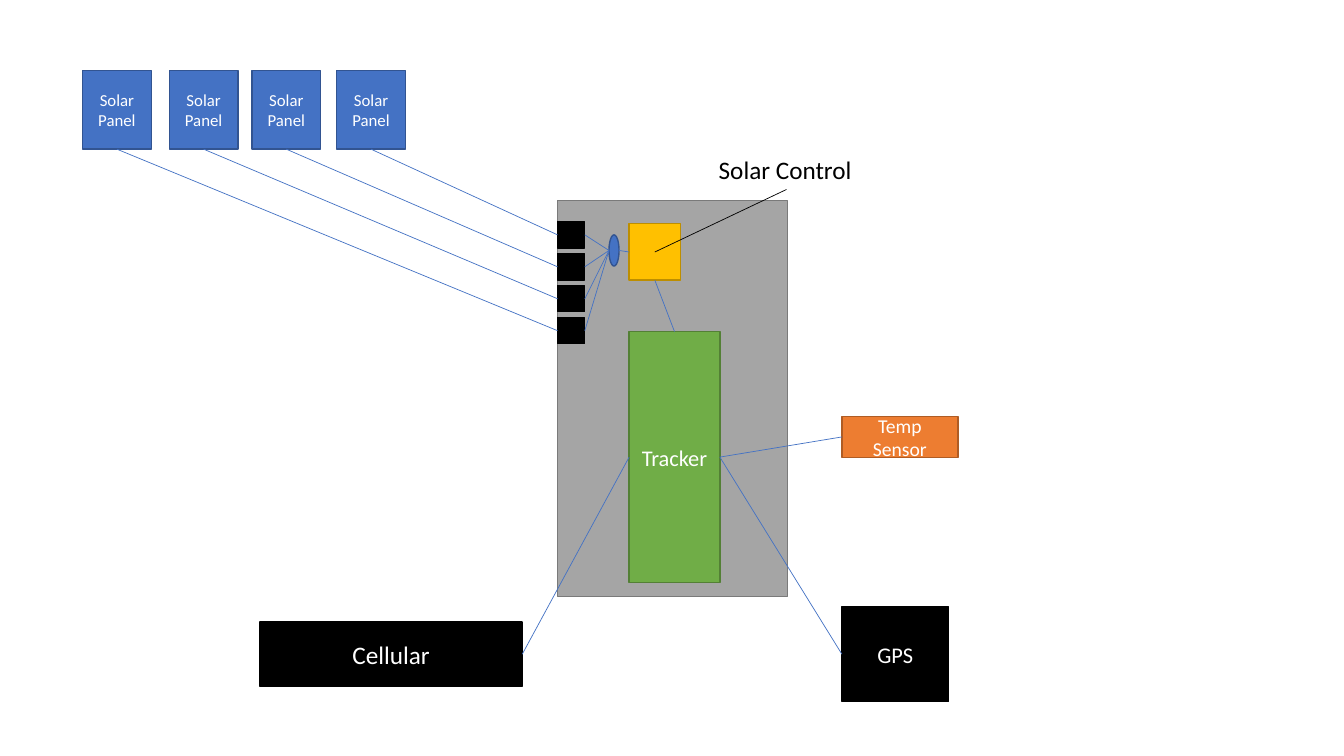
"""Build a wiring diagram of a solar-powered tracker."""
from dataclasses import dataclass

from lxml import etree
from pptx import Presentation
from pptx import util as u
from pptx.dml.color import RGBColor
from pptx.enum import shapes, text
from pptx.oxml.ns import qn

FONT = "Calibri"
BLUE, BLACK, WHITE = "4472C4", "000000", "FFFFFF"
Point = tuple[float, float]


@dataclass(frozen=True)
class Block:
    """A filled shape of the diagram, in inches."""

    left: float
    top: float
    width: float
    height: float
    fill: str
    edge: str
    label: str = ""
    size: int = 12
    kind: shapes.MSO_SHAPE = shapes.MSO_SHAPE.RECTANGLE

    def at(self, across: float, down: float) -> Point:
        """Return the point at the given fractions of width and height."""
        return self.left + across * self.width, self.top + down * self.height


@dataclass(frozen=True)
class Wire:
    """A straight line between two points."""

    start: Point
    end: Point
    color: str = BLUE


def rgb(color: str) -> RGBColor:
    """Turn a hex string into a colour."""
    return RGBColor.from_string(color)


def add_span(para, words: str, size: int, color: str) -> None:
    """Add one formatted run to a paragraph."""
    span = para.add_run()
    span.text = words
    span.font.name = FONT
    span.font.size = u.Pt(size)
    span.font.color.rgb = rgb(color)


def draw_block(page, block: Block) -> None:
    """Draw a block with its centred label."""
    edges = (block.left, block.top, block.width, block.height)
    box = page.shapes.add_shape(block.kind, *map(u.Inches, edges))
    box.shadow.inherit = False
    box.fill.solid()
    box.fill.fore_color.rgb = rgb(block.fill)
    box.line.color.rgb = rgb(block.edge)
    box.line.width = u.Pt(1)
    if block.label:
        frame = box.text_frame
        frame.word_wrap = True
        frame.vertical_anchor = text.MSO_ANCHOR.MIDDLE
        para = frame.paragraphs[0]
        para.alignment = text.PP_ALIGN.CENTER
        add_span(para, block.label, block.size, WHITE)


def draw_wire(page, wire: Wire) -> None:
    """Draw a thin straight connector without a shadow."""
    ends = map(u.Inches, (*wire.start, *wire.end))
    line = page.shapes.add_connector(shapes.MSO_CONNECTOR.STRAIGHT, *ends)
    line.line.color.rgb = rgb(wire.color)
    line.line.width = u.Pt(0.5)
    etree.SubElement(line._element.spPr, qn("a:effectLst"))


def draw_caption(page, words: str, edges: tuple[float, ...]) -> None:
    """Draw an unwrapped text label."""
    box = page.shapes.add_textbox(*map(u.Inches, edges))
    frame = box.text_frame
    frame.word_wrap = False
    frame.auto_size = text.MSO_AUTO_SIZE.SHAPE_TO_FIT_TEXT
    add_span(frame.paragraphs[0], words, 18, BLACK)


def main() -> None:
    """Lay out the blocks, wire them together and save the deck."""
    deck = Presentation()
    deck.slide_width, deck.slide_height = u.Inches(13.33), u.Inches(7.5)
    page = deck.slides.add_slide(deck.slide_layouts[6])

    case = Block(5.53, 1.99, 2.28, 3.93, "A5A5A5", "7A7A7A")
    panels = [Block(left, 0.7, 0.68, 0.78, BLUE, "325491", "Solar Panel")
              for left in (0.82, 1.68, 2.5, 3.34)]
    ports = [Block(case.left, 2.2 + 0.317 * row, 0.27, 0.26, BLACK, BLACK)
             for row in range(4)]
    control = Block(6.24, 2.22, 0.51, 0.56, "FFC000", "BD8E00")
    tracker = Block(6.24, 3.29, 0.9, 2.49, "70AD47", "538035", "Tracker", 16)
    joint = Block(6.04, 2.33, 0.1, 0.31, BLUE, "325491",
                  kind=shapes.MSO_SHAPE.OVAL)
    cellular = Block(2.58, 6.17, 2.6, 0.64, BLACK, BLACK, "Cellular", 18)
    gps = Block(8.35, 6.02, 1.06, 0.94, BLACK, BLACK, "GPS", 16)
    sensor = Block(8.35, 4.13, 1.15, 0.41, "ED7D31", "AF5C24", "Temp Sensor", 14)

    for block in (case, *panels, *ports, control, tracker, joint,
                  cellular, gps, sensor):
        draw_block(page, block)

    wires = [Wire(panel.at(0.5, 1), port.at(0, 0.5))
             for panel, port in zip(reversed(panels), ports)]
    wires += [Wire(port.at(1, 0.5), joint.at(0, 0.5)) for port in ports]
    wires += [
        Wire(joint.at(1, 0.5), control.at(0, 0.5)),
        Wire(control.at(0.5, 1), tracker.at(0.5, 0)),
        Wire(tracker.at(0, 0.5), cellular.at(1, 0.5)),
        Wire(tracker.at(1, 0.5), gps.at(0, 0.5)),
        Wire(tracker.at(1, 0.5), sensor.at(0, 0.5)),
        Wire((7.8, 1.88), control.at(0.5, 0.5), BLACK),
    ]
    for wire in wires:
        draw_wire(page, wire)

    draw_caption(page, "Solar Control", (7.03, 1.48, 1.53, 0.4))
    deck.save("out.pptx")


main()
